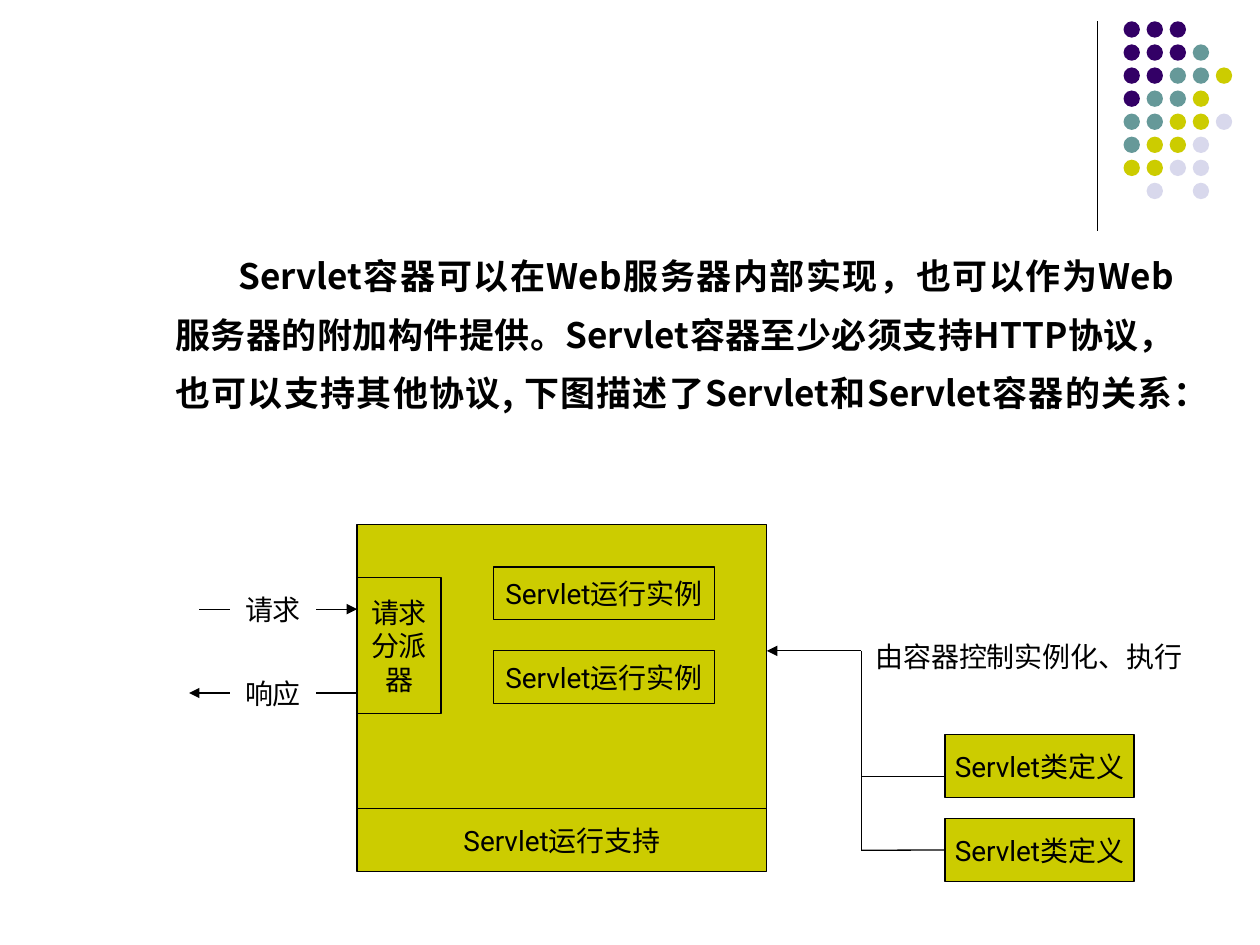
from dataclasses import dataclass

from lxml import etree
from pptx import Presentation
from pptx.dml.color import RGBColor
from pptx.enum.shapes import MSO_CONNECTOR, MSO_SHAPE
from pptx.enum.text import MSO_ANCHOR, MSO_AUTO_SIZE, PP_ALIGN
from pptx.oxml.ns import qn
from pptx.util import Cm, Pt

RECT, OVAL = MSO_SHAPE.RECTANGLE, MSO_SHAPE.OVAL
STRAIGHT = MSO_CONNECTOR.STRAIGHT
CENTER, JUSTIFY = PP_ALIGN.CENTER, PP_ALIGN.JUSTIFY
MIDDLE, TOP = MSO_ANCHOR.MIDDLE, MSO_ANCHOR.TOP
LEFT_SIDE = 1


@dataclass(frozen=True)
class Theme:
    ink: str = "000000"
    paper: str = "FFFFFF"
    olive: str = "CCCC00"
    purple: str = "330066"
    teal: str = "669999"
    pale: str = "D8D8EC"
    latin: str = "Roboto"
    cjk: str = "Noto Sans CJK SC"
    body: int = 20
    label: int = 16
    rule: float = 0.75


T = Theme()


def rgb(value):
    return RGBColor.from_string(value)


def add_run(p, text, latin, size, bold=False):
    r = p.add_run()
    r.text = text
    f = r.font
    f.name, f.size, f.bold = latin, Pt(size), bold
    f.color.rgb = rgb(T.ink)
    ea = etree.Element(qn("a:ea"), typeface=T.cjk)
    r._r.rPr.find(qn("a:latin")).addnext(ea)


def add_box(s, x, y, w, h, lines=(), fill=T.olive, line=T.ink):
    sp = s.shapes.add_shape(RECT, Cm(x), Cm(y), Cm(w), Cm(h))
    sp.shadow.inherit = False
    sp.fill.solid()
    sp.fill.fore_color.rgb = rgb(fill)
    sp.line.color.rgb = rgb(line)
    sp.line.width = Pt(T.rule)
    tf = sp.text_frame
    tf.word_wrap = False
    tf.vertical_anchor = MIDDLE
    for i, text in enumerate(lines):
        p = tf.add_paragraph() if i else tf.paragraphs[0]
        p.alignment = CENTER
        add_run(p, text, T.latin, T.label)
    return sp


def add_label(s, x, y, w, h, text):
    return add_box(s, x, y, w, h, [text], T.paper, T.paper)


def add_line(s, x1, y1, x2, y2, arrow=False):
    cn = s.shapes.add_connector(STRAIGHT, Cm(x1), Cm(y1), Cm(x2), Cm(y2))
    cn.line.color.rgb = rgb(T.ink)
    cn.line.width = Pt(T.rule)
    if arrow:
        etree.SubElement(cn.line._get_or_add_ln(), qn("a:tailEnd"), type="triangle")
    etree.SubElement(cn._element.spPr, qn("a:effectLst"))
    return cn


def add_ornament(s, x, y, h):
    """Vertical rule with a grid of coloured dots to its right."""
    add_line(s, x, y, x, y + h)
    colours = {"P": T.purple, "T": T.teal, "O": T.olive, "L": T.pale}
    rows = ["PPP", "PPPT", "PPTTO", "PTTO", "TTOOL", "TOOL", "OOLL", ".L.L"]
    pitch, size = 0.465, 0.33
    for i, row in enumerate(rows):
        for j, key in enumerate(row):
            if key not in colours:
                continue
            dot = s.shapes.add_shape(OVAL, Cm(x + 0.53 + j * pitch),
                                     Cm(y + i * pitch), Cm(size), Cm(size))
            dot.shadow.inherit = False
            dot.fill.solid()
            dot.fill.fore_color.rgb = rgb(colours[key])
            dot.line.fill.background()


def fill_body(sp, x, y, w, h):
    """Justified introduction with a hanging indent and tab stops."""
    sp.left, sp.top, sp.width, sp.height = Cm(x), Cm(y), Cm(w), Cm(h)
    tf = sp.text_frame
    tf.word_wrap = True
    tf.auto_size = MSO_AUTO_SIZE.NONE
    tf.vertical_anchor = TOP
    p = tf.paragraphs[0]
    pPr = p._p.get_or_add_pPr()
    indent = Cm(0.95)
    pPr.set("marL", str(indent))
    pPr.set("indent", str(-indent))
    etree.SubElement(pPr, qn("a:buNone"))
    tabs = etree.SubElement(pPr, qn("a:tabLst"))
    for i in range(8):
        etree.SubElement(tabs, qn("a:tab"), pos=str(Cm(2.54 * i)), algn="l")
    p.alignment = JUSTIFY
    p.line_spacing = 1.4
    p.space_before = Pt(0)
    add_run(p, "\t\tServlet容器可以在Web服务器内部实现，也可以作为Web服务器的附加构件提供。"
               "Servlet容器至少必须支持HTTP协议，也可以支持其他协议, "
               "下图描述了Servlet和Servlet容器的关系：", T.cjk, T.body, True)


def add_container(s, x, y, w, h):
    """Container with its support layer, instances and dispatcher."""
    support = 1.27
    add_box(s, x, y, w, h - support)
    add_box(s, x, y + h - support, w, support, ["Servlet运行支持"])
    for i in range(2):
        add_box(s, x + 2.75, y + 0.85 + 1.69 * i, 4.45, 1.06, ["Servlet运行实例"])
    add_box(s, x, y + 1.06, 1.69, 2.75, ["请求", "分派", "器"])


def add_messages(s, x, y, w):
    """Request arrow going in and response arrow coming out."""
    gap = 1.69
    add_line(s, x + 0.21, y, x + w, y, arrow=True)
    add_line(s, x + w, y + gap, x, y + gap, arrow=True)
    for i, text in enumerate(["请求", "响应"]):
        add_label(s, x + 0.85, y - 0.42 + gap * i, 1.69, 0.85, text)


def add_classes(s, x, y, bus):
    """Class definitions joined by a bus line to the container at x."""
    branches = [y + 2.54, y + 4.02]
    left = bus + 1.69
    add_line(s, bus, y, x, y, arrow=True)
    start = y
    for i, branch in enumerate(branches):
        add_line(s, bus, start, bus, branch)
        cn = add_line(s, bus, branch, left, branch)
        box = add_box(s, left, y + 1.69 * (i + 1), 3.81, 1.27, ["Servlet类定义"])
        start = branch
    cn.end_connect(box, LEFT_SIDE)  # the last branch meets its box at mid-side
    add_label(s, bus + 0.21, y - 0.42, 6.35, 1.06, "由容器控制实例化、执行")


def main():
    prs = Presentation()
    prs.slide_width, prs.slide_height = Cm(25.4), Cm(19.05)
    s = prs.slides.add_slide(prs.slide_layouts[1])
    title, body = s.placeholders
    title._element.getparent().remove(title._element)

    add_ornament(s, 22.12, 0.43, 4.23)
    fill_body(body, 2.33, 4.66, 21.59, 13.33)
    add_container(s, 7.2, 10.58, 8.26, 6.99)
    add_messages(s, 3.81, 12.28, 3.39)
    add_classes(s, 15.46, 13.12, 17.36)
    prs.save("out.pptx")


if __name__ == "__main__":
    main()
